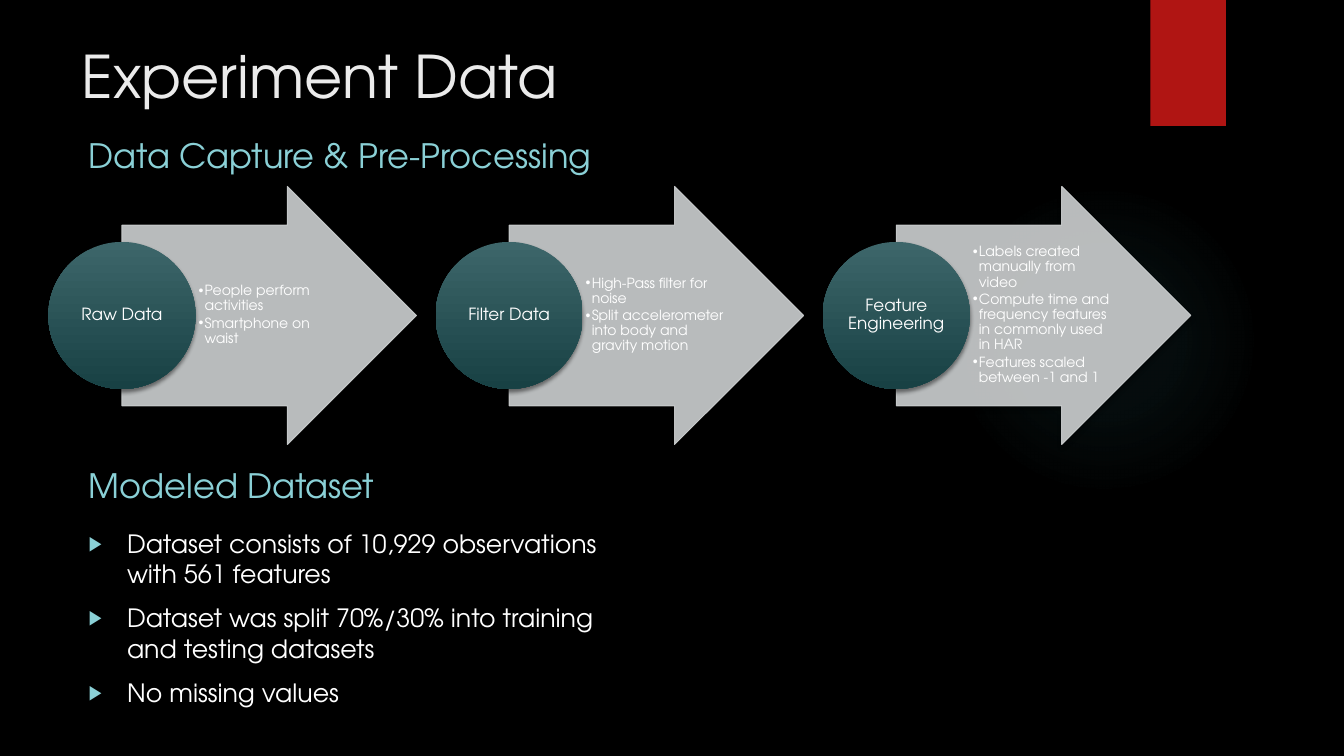
from lxml.etree import SubElement
from pptx import Presentation
from pptx.dml.color import RGBColor
from pptx.enum.shapes import MSO_SHAPE
from pptx.enum.text import MSO_ANCHOR, MSO_AUTO_SIZE, PP_ALIGN
from pptx.oxml import parse_xml
from pptx.oxml.ns import nsdecls, qn
from pptx.util import Emu, Pt

EMU_PER_PX = 9144  # 100 px to the inch
FONT = "TeX Gyre Adventor"
WHITE, TITLE, ACCENT = "FFFFFF", "EBEBEB", "8AD0D6"
ARROW, RIBBON, GLOW = "CDD0D1", "B01513", "50B9C1"
DOWNWARD = '<a:lin ang="5400000" scaled="0"/>'
OUTWARD = ('<a:path path="circle"><a:fillToRect l="50000" t="50000" '
           'r="50000" b="50000"/></a:path>')

STAGES = [
    ("Raw Data", ["People perform activities", "Smartphone on waist"]),
    ("Filter Data", ["High-Pass filter for noise",
                     "Split accelerometer into body and gravity motion"]),
    ("Feature Engineering", [
        "Labels created manually from video",
        "Compute time and frequency features in commonly used in HAR",
        "Features scaled between -1 and 1"]),
]
STAGE_LEFT, STAGE_STEP = 48, 384
FINDINGS = ["Dataset consists of 10,929 observations with 561 features",
            "Dataset was split 70%/30% into training and testing datasets",
            "No missing values"]


def px(length):
    return Emu(length * EMU_PER_PX)


def rgb(color):
    return RGBColor.from_string(color)


class SlideBuilder:
    def __init__(self, slide):
        self.slide = slide

    def place(self, shape, box):
        shape.left, shape.top, shape.width, shape.height = map(px, box)

    def shape(self, kind, box, fill=None, line=None, opacity=100, shadow=True):
        shape = self.slide.shapes.add_shape(kind, *map(px, box))
        if fill:
            shape.fill.solid()
            shape.fill.fore_color.rgb = rgb(fill)
        else:
            shape.fill.background()
        if line:
            shape.line.color.rgb = rgb(line)
            shape.line.width = Pt(0.75)
        else:
            shape.line.fill.background()
        properties = shape.element.spPr
        if opacity < 100:
            for color in properties.iter(qn("a:srgbClr")):
                SubElement(color, qn("a:alpha"), val=str(opacity * 1000))
        shape.shadow.inherit = False
        if shadow:
            properties.find(qn("a:effectLst")).append(parse_xml(
                f'<a:outerShdw {nsdecls("a")} blurRad="38100" dist="25400" '
                'dir="5400000" rotWithShape="0"><a:srgbClr val="000000">'
                '<a:alpha val="45000"/></a:srgbClr></a:outerShdw>'))
        return shape

    def gradient(self, shape, stops, direction):
        """Fill with stops of (position %, colour, opacity %)."""
        marks = "".join(
            f'<a:gs pos="{position * 1000}"><a:srgbClr val="{color}">'
            f'<a:alpha val="{opacity * 1000}"/></a:srgbClr></a:gs>'
            for position, color, opacity in stops)
        properties = shape.element.spPr
        properties.replace(properties.find(qn("a:noFill")), parse_xml(
            f'<a:gradFill {nsdecls("a")} rotWithShape="1"><a:gsLst>{marks}'
            f'</a:gsLst>{direction}</a:gradFill>'))

    def bullet(self, paragraph, mark, indent, color, percent):
        properties = paragraph._p.get_or_add_pPr()
        properties.set("marL", str(px(indent)))
        properties.set("indent", str(-px(indent)))
        bullet_color = SubElement(properties, qn("a:buClr"))
        SubElement(bullet_color, qn("a:srgbClr"), val=color)
        SubElement(properties, qn("a:buSzPct"), val=str(percent * 1000))
        SubElement(properties, qn("a:buFont"), typeface="Arial")
        SubElement(properties, qn("a:buChar"), char=mark)

    def add_text(self, shape, lines, size, color, anchor=MSO_ANCHOR.TOP,
                 align=PP_ALIGN.LEFT, before=0, after=0, spacing=1.0,
                 insets=None, bullet=None):
        frame = shape.text_frame
        frame.word_wrap = True
        frame.auto_size = MSO_AUTO_SIZE.NONE
        frame.vertical_anchor = anchor
        if insets:
            (frame.margin_left, frame.margin_top,
             frame.margin_right, frame.margin_bottom) = map(px, insets)
        for number, line in enumerate(lines):
            paragraph = frame.add_paragraph() if number else frame.paragraphs[0]
            paragraph.alignment = align
            paragraph.line_spacing = spacing
            paragraph.space_before = Pt(before)
            paragraph.space_after = Pt(after)
            if bullet:
                self.bullet(paragraph, *bullet)
            run = paragraph.add_run()
            run.text = line
            run.font.size = Pt(size)
            run.font.name = FONT
            run.font.bold = False
            run.font.color.rgb = rgb(color)

    def placeholder(self, index, box, lines, size, color, **style):
        holder = self.slide.placeholders[index]
        self.place(holder, box)
        self.add_text(holder, lines, size, color, **style)

    def heading(self, index, top, text):
        self.placeholder(index, (78, top, 567, 48), [text], 24, ACCENT,
                         anchor=MSO_ANCHOR.BOTTOM, before=10)

    def stage(self, left, name, steps):
        """Draw an arrow with its notes and a named disc at its tail."""
        arrow = self.shape(MSO_SHAPE.RIGHT_ARROW, (left + 73, 185, 292, 256),
                           ARROW, ARROW, opacity=90)
        arrow.adjustments[0], arrow.adjustments[1] = 0.7, 0.5
        notes = self.slide.shapes.add_textbox(
            *map(px, (left + 146, 223, 143, 179)))
        self.add_text(notes, steps, 10, WHITE, anchor=MSO_ANCHOR.MIDDLE,
                      after=1.5, spacing=0.9, insets=(3, 1, 1, 1),
                      bullet=("•", 6, WHITE, 100))
        disc = self.shape(MSO_SHAPE.OVAL, (left, 240, 146, 146))
        self.gradient(disc, [(0, "3D666A", 100), (100, "184144", 100)], DOWNWARD)
        self.add_text(disc, [name], 12, WHITE, anchor=MSO_ANCHOR.MIDDLE,
                      align=PP_ALIGN.CENTER, spacing=0.9, insets=(1, 1, 1, 1))


def main():
    deck = Presentation()
    deck.slide_width, deck.slide_height = px(1333), px(750)
    slide = deck.slides.add_slide(deck.slide_layouts.get_by_name("Comparison"))
    slide.background.fill.solid()
    slide.background.fill.fore_color.rgb = rgb("000000")
    unused = slide.placeholders[4].element
    unused.getparent().remove(unused)

    builder = SlideBuilder(slide)
    glow = builder.shape(MSO_SHAPE.OVAL, (941, 183, 308, 308), shadow=False)
    builder.gradient(glow, [(0, GLOW, 7), (36, GLOW, 6), (69, GLOW, 0)], OUTWARD)
    builder.shape(MSO_SHAPE.RECTANGLE, (1141, 0, 75, 125), RIBBON)

    builder.placeholder(0, (71, 34, 1029, 100), ["Experiment Data"], 42, TITLE)
    builder.heading(1, 131, "Data Capture & Pre-Processing")
    builder.heading(3, 458, "Modeled Dataset")
    builder.placeholder(2, (78, 519, 564, 200), FINDINGS, 18, WHITE,
                        before=10, bullet=("▶", 38, ACCENT, 80))
    for number, (name, steps) in enumerate(STAGES):
        builder.stage(STAGE_LEFT + number * STAGE_STEP, name, steps)
    deck.save("out.pptx")


if __name__ == "__main__":
    main()
